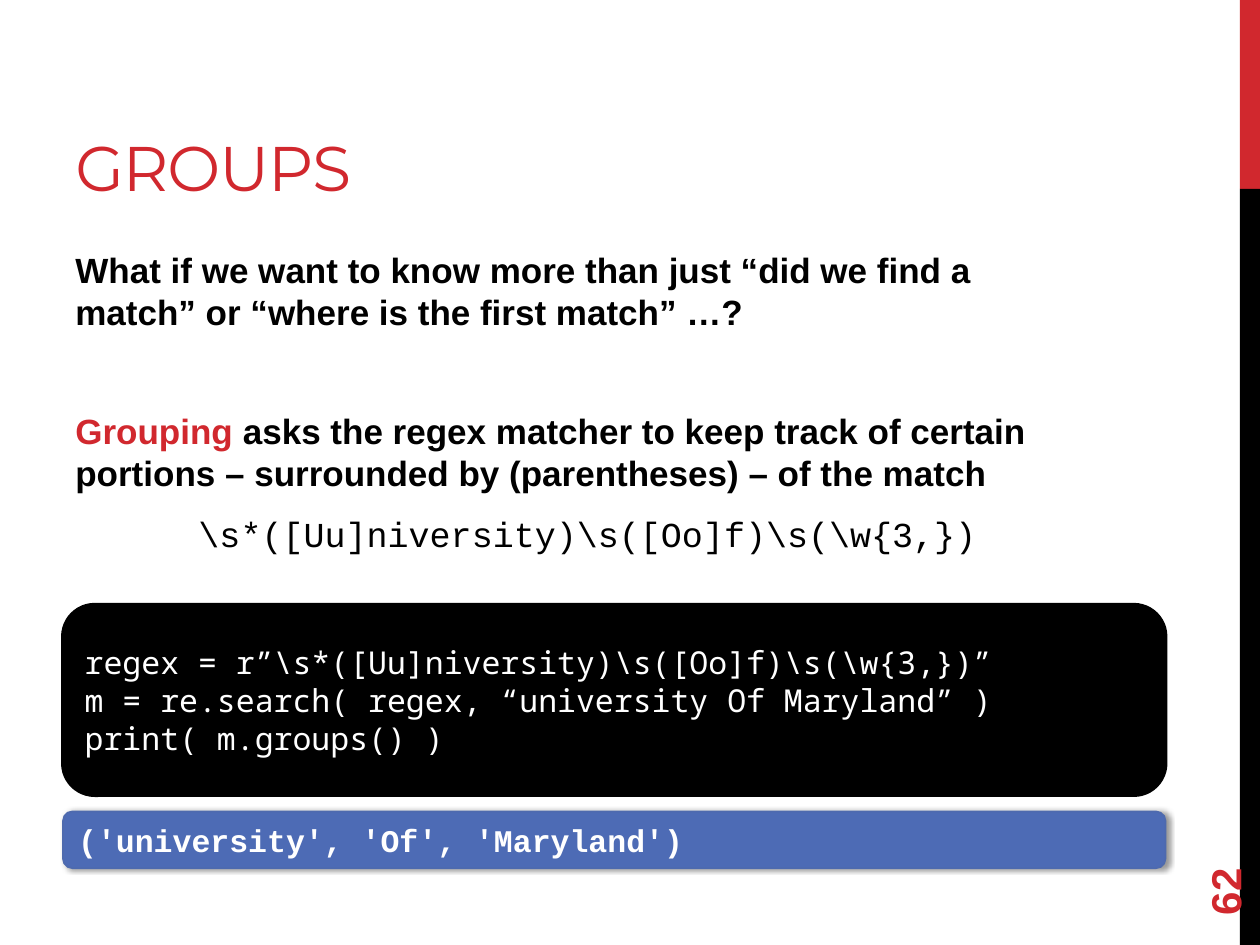
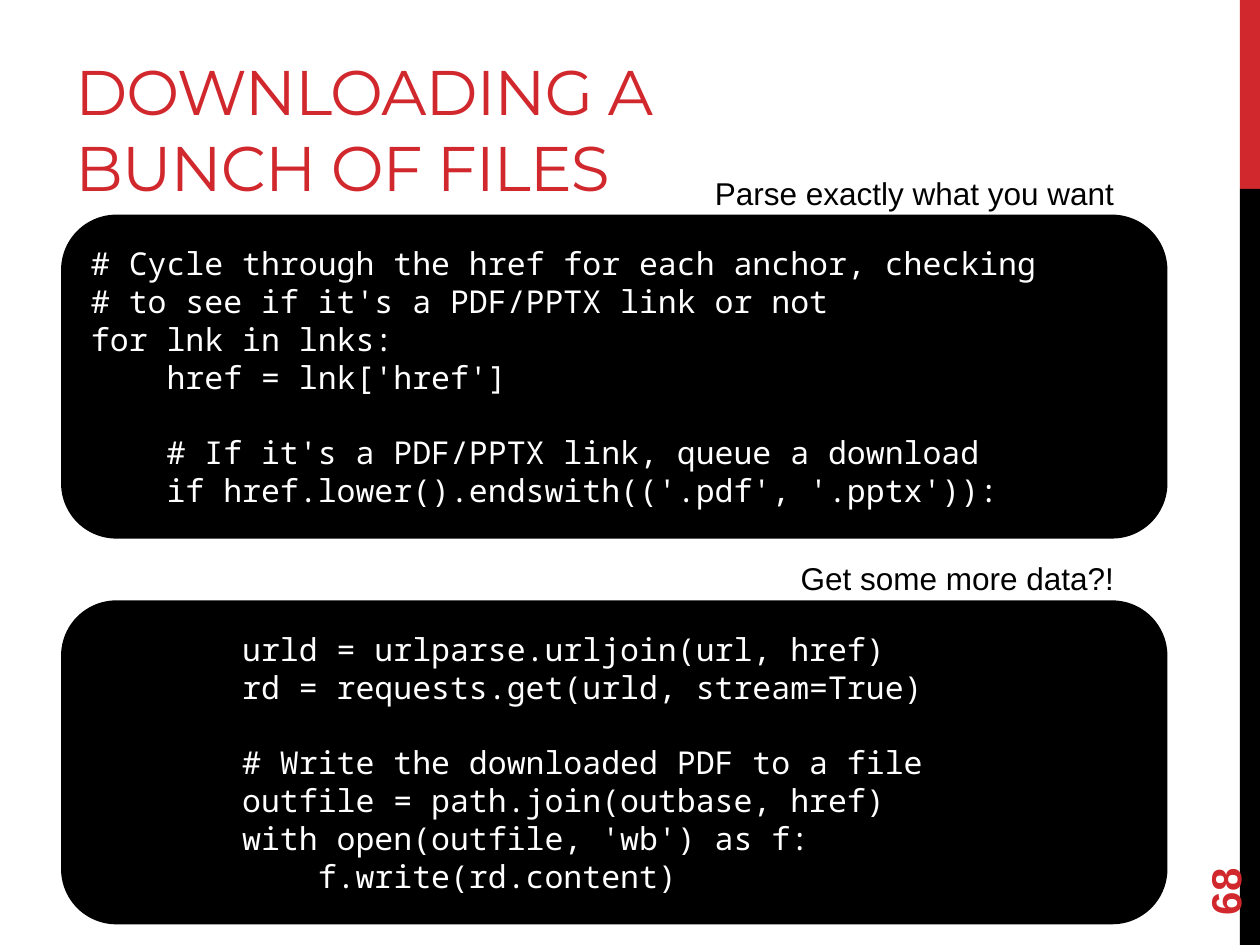
from lxml import etree
from pptx import Presentation
from pptx.dml.color import RGBColor
from pptx.enum.shapes import MSO_SHAPE
from pptx.enum.text import MSO_ANCHOR, PP_ALIGN
from pptx.oxml.ns import qn
from pptx.util import Pt

RED, BLACK, WHITE = "D1282E", "000000", "FFFFFF"
BLUE, BLUE_EDGE = "4D6BB5", "4E6AAE"
WIDTH, HEIGHT = 720, 540
LEFT, BOX_WIDTH = 36, 630
BAND_LEFT, BAND_SPLIT = 708.5, 108
CAPTION_RIGHT, CAPTION_RISE = 643.7, 28.1
CODE_PITCH = 21.6

TITLE = dict(name="Montserrat", size=Pt(36), color=RED)
BODY = dict(name="Arial", size=Pt(20), bold=True, color=BLACK)
KEYWORD = dict(BODY, color=RED)
PATTERN = dict(BODY, name="Courier New", bold=False)
NUMBER = dict(name="Arial", size=Pt(24), bold=True, color=RED)
CODE = dict(name="Noto Sans Mono", size=Pt(18), color=WHITE)
OUTPUT = dict(name="Courier New", size=Pt(18), bold=True, color=WHITE)
CAPTION = dict(name="Arial", size=Pt(18), color=BLACK)

GROUPS_CODE = r"""regex = r”\s*([Uu]niversity)\s([Oo]f)\s(\w{3,})”
m = re.search( regex, “university Of Maryland” )
print( m.groups() )"""

PARSE_CODE = """# Cycle through the href for each anchor, checking
# to see if it's a PDF/PPTX link or not
for lnk in lnks:
    href = lnk['href']

    # If it's a PDF/PPTX link, queue a download
    if href.lower().endswith(('.pdf', '.pptx')):"""

FETCH_CODE = """        urld = urlparse.urljoin(url, href)
        rd = requests.get(urld, stream=True)

        # Write the downloaded PDF to a file
        outfile = path.join(outbase, href)
        with open(outfile, 'wb') as f:
            f.write(rd.content)"""


def rgb(color):
    return RGBColor.from_string(color)


class Deck:
    def __init__(self):
        self.prs = Presentation()
        self.prs.slide_width, self.prs.slide_height = Pt(WIDTH), Pt(HEIGHT)
        self.s = None

    def slide(self, title, number):
        self.s = self.prs.slides.add_slide(self.prs.slide_layouts[6])
        band_width = WIDTH - BAND_LEFT
        self.shape(MSO_SHAPE.RECTANGLE, BAND_LEFT, 0, band_width, BAND_SPLIT, RED)
        self.shape(MSO_SHAPE.RECTANGLE, BAND_LEFT, BAND_SPLIT, band_width,
                   HEIGHT - BAND_SPLIT, BLACK)
        tf = self.text_box(LEFT, 12.2, 455.8, 108, MSO_ANCHOR.BOTTOM).text_frame
        r = self.run(tf.paragraphs[0], title, TITLE)
        r.font._element.set("spc", "-60")
        sp = self.text_box(648, 463.7, 103.7, 28.8, MSO_ANCHOR.MIDDLE)
        sp.rotation = 270
        self.run(sp.text_frame.paragraphs[0], number, NUMBER)

    def shape(self, kind, x, y, w, h, fill, line=None, line_width=1):
        sp = self.s.shapes.add_shape(kind, Pt(x), Pt(y), Pt(w), Pt(h))
        sp.shadow.inherit = False
        sp.fill.solid()
        sp.fill.fore_color.rgb = rgb(fill)
        if line:
            sp.line.color.rgb = rgb(line)
            sp.line.width = Pt(line_width)
        else:
            sp.line.fill.background()
        sp.text_frame.vertical_anchor = MSO_ANCHOR.MIDDLE
        return sp

    def text_box(self, x, y, w, h, anchor=MSO_ANCHOR.TOP):
        sp = self.s.shapes.add_textbox(Pt(x), Pt(y), Pt(w), Pt(h))
        sp.text_frame.word_wrap = True
        sp.text_frame.vertical_anchor = anchor
        return sp

    def paragraph(self, tf, first, **formats):
        p = tf.paragraphs[0] if first else tf.add_paragraph()
        for key, value in formats.items():
            setattr(p, key, value)
        return p

    def run(self, p, text, style):
        r = p.add_run()
        r.text = text
        for key, value in style.items():
            if key == "color":
                r.font.color.rgb = rgb(value)
            else:
                setattr(r.font, key, value)
        return r

    def body(self, y, h, paragraphs):
        tf = self.text_box(LEFT, y, 599.8, h).text_frame
        for i, (align, gap, runs) in enumerate(paragraphs):
            p = self.paragraph(tf, i == 0, alignment=align,
                               space_before=Pt(gap), line_spacing=Pt(24))
            for text, style in runs:
                self.run(p, text, style)

    def code(self, y, h, source):
        sp = self.shape(MSO_SHAPE.ROUNDED_RECTANGLE, LEFT, y, BOX_WIDTH, h,
                        BLACK, BLACK, 2.25)
        gap = 0
        for i, line in enumerate(source.split("\n")):
            if not line:
                gap = CODE_PITCH
                continue
            p = self.paragraph(sp.text_frame, i == 0, alignment=PP_ALIGN.LEFT,
                               space_before=Pt(gap), line_spacing=Pt(CODE_PITCH))
            self.run(p, line, CODE)
            gap = 0

    def captioned_code(self, y, caption, caption_width, source):
        self.code(y, 182.9, source)
        tf = self.text_box(CAPTION_RIGHT - caption_width, y - CAPTION_RISE,
                           caption_width, 28.8).text_frame
        p = self.paragraph(tf, True, alignment=PP_ALIGN.RIGHT)
        self.run(p, caption, CAPTION)

    def output(self, y, h, text):
        sp = self.shape(MSO_SHAPE.ROUNDED_RECTANGLE, LEFT, y, BOX_WIDTH, h,
                        BLUE, BLUE_EDGE)
        effects = sp._element.spPr.find(qn("a:effectLst"))
        shadow = etree.SubElement(effects, qn("a:outerShdw"), blurRad=str(Pt(3.1)),
                                  dist=str(Pt(1.8)), dir="0", rotWithShape="0")
        color = etree.SubElement(shadow, qn("a:srgbClr"), val=BLACK)
        etree.SubElement(color, qn("a:alpha"), val="40000")
        p = self.paragraph(sp.text_frame, True, alignment=PP_ALIGN.LEFT)
        self.run(p, text, OUTPUT)


def main():
    deck = Deck()

    deck.slide("GROUPS", "62")
    deck.body(138.2, 344.2, [
        (PP_ALIGN.LEFT, 0, [("What if we want to know more than just “did we find a "
                             "match” or “where is the first match” …?", BODY)]),
        (PP_ALIGN.LEFT, 44, [("Grouping", KEYWORD),
                             (" asks the regex matcher to keep track of certain portions "
                              "– surrounded by (parentheses) – of the match", BODY)]),
        (PP_ALIGN.CENTER, 11, [(r"\s*([Uu]niversity)\s([Oo]f)\s(\w{3,})", PATTERN)]),
    ])
    deck.code(345.6, 108.7, GROUPS_CODE)
    deck.output(463.7, 32.4, "('university', 'Of', 'Maryland')")

    deck.slide("DOWNLOADING A BUNCH OF FILES", "68")
    deck.captioned_code(123.8, "Parse exactly what you want", 247, PARSE_CODE)
    deck.captioned_code(344.2, "Get some more data?!", 217.4, FETCH_CODE)

    deck.prs.save("out.pptx")


if __name__ == "__main__":
    main()
